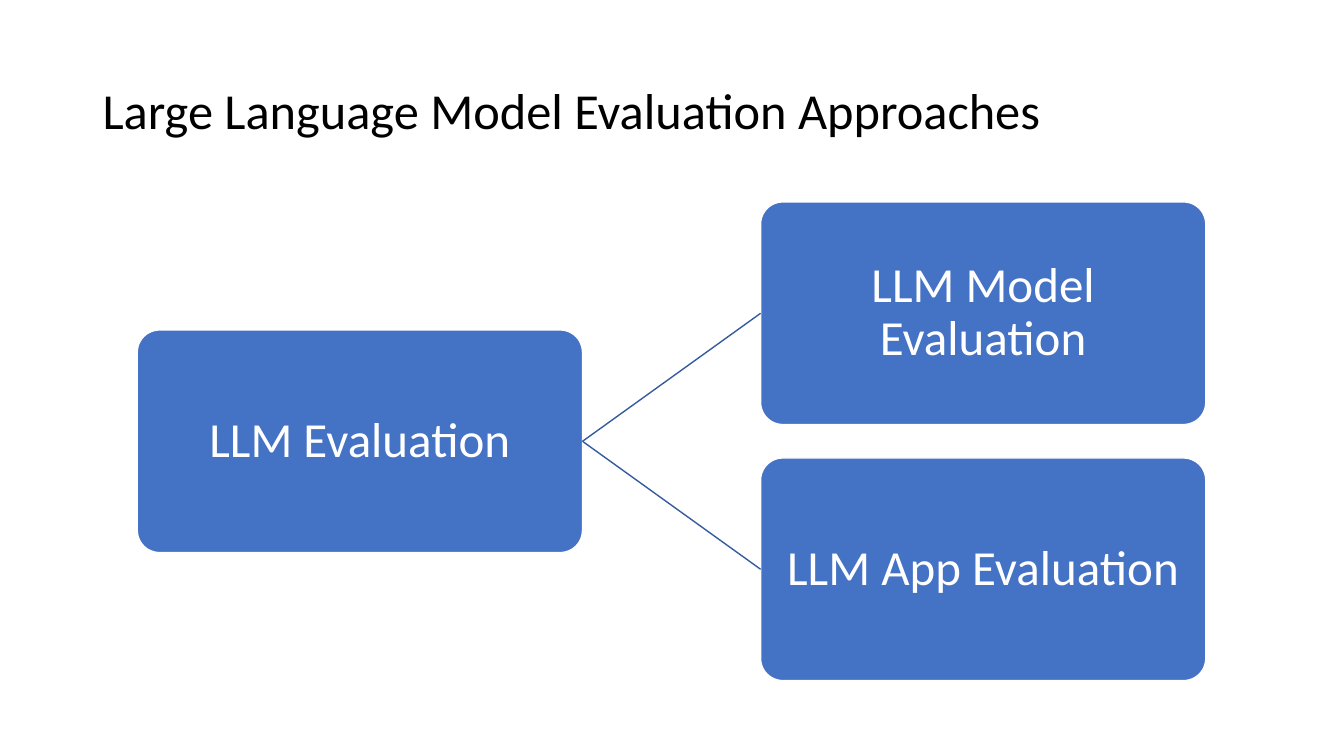
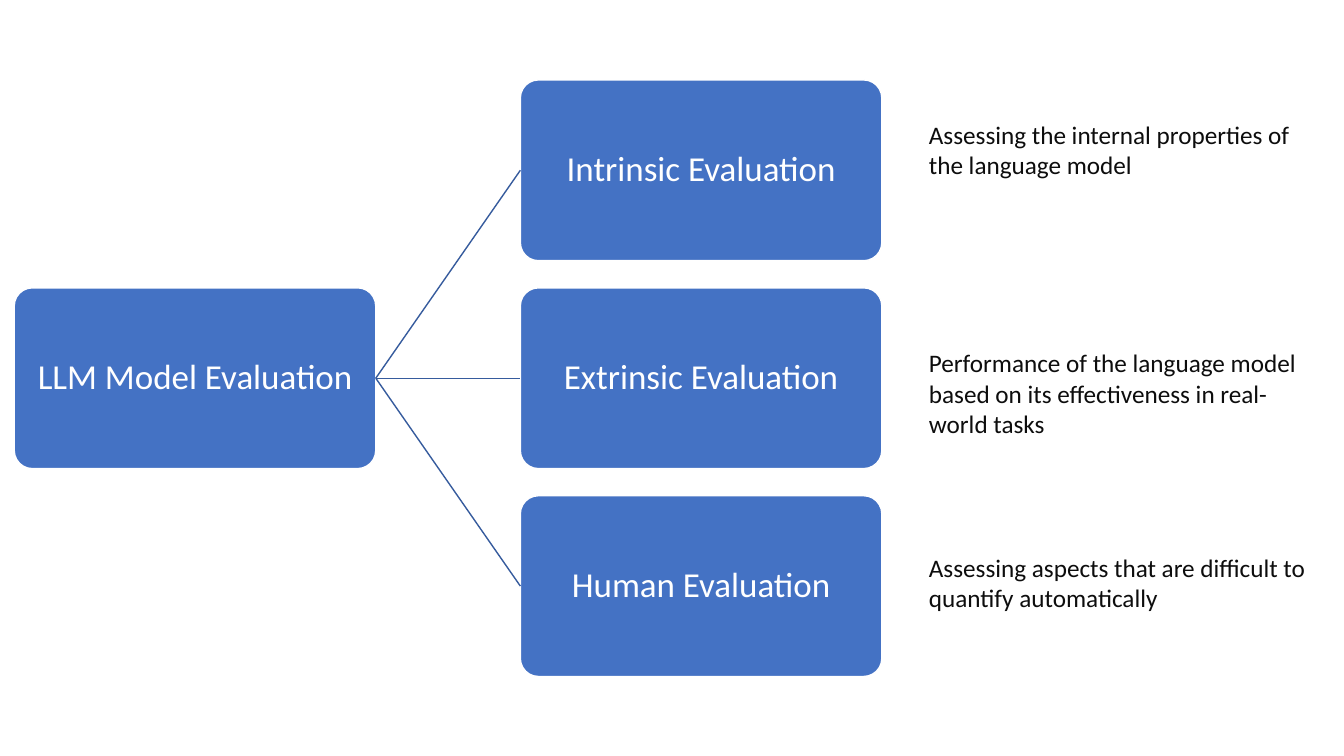
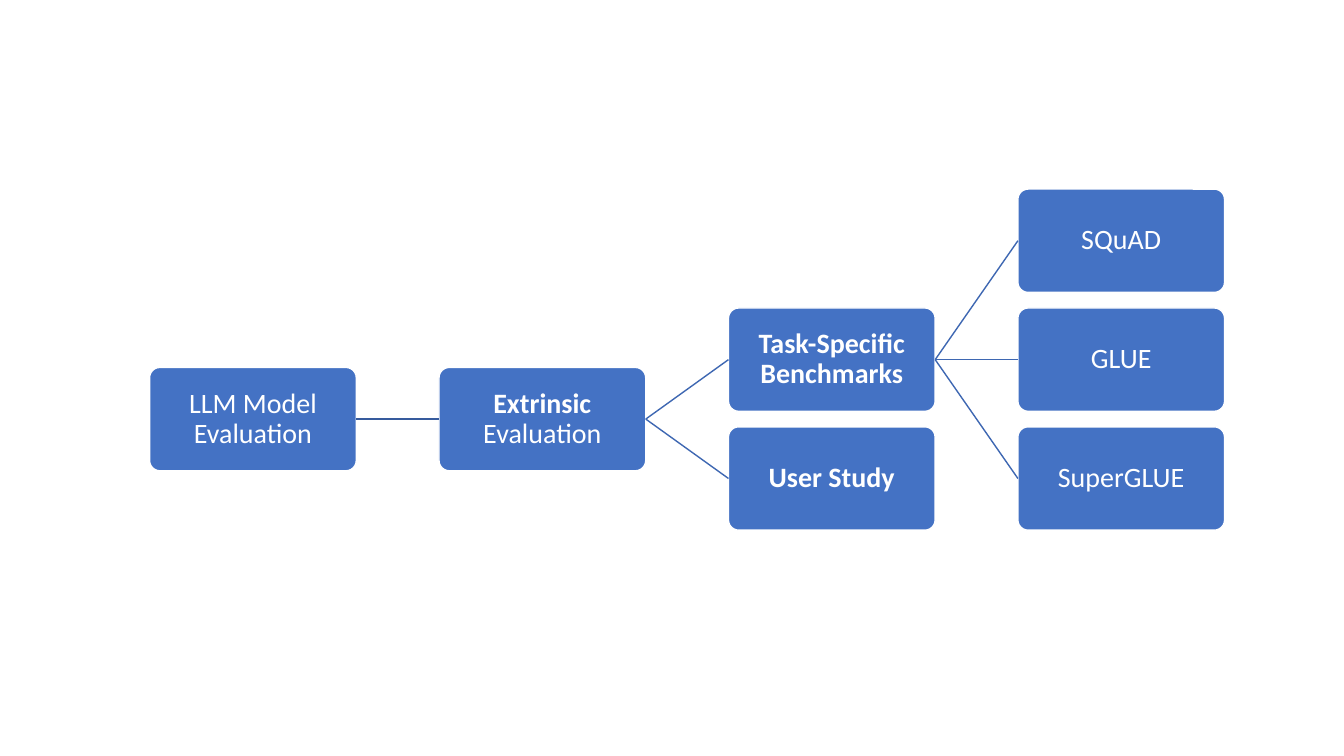
"""Build three slides of tree diagrams on evaluating large language models."""
from dataclasses import dataclass

from lxml.etree import SubElement
from pptx import Presentation
from pptx.dml.color import RGBColor
from pptx.enum.shapes import MSO_CONNECTOR, MSO_SHAPE
from pptx.enum.text import MSO_ANCHOR, MSO_AUTO_SIZE, PP_ALIGN
from pptx.oxml.ns import qn
from pptx.util import Cm, Pt


@dataclass(frozen=True)
class Theme:
    font: str = "Calibri"
    title_ink: RGBColor = RGBColor.from_string("000000")
    caption_ink: RGBColor = RGBColor.from_string("0D0D0D")
    node_ink: RGBColor = RGBColor.from_string("FFFFFF")
    node_fill: RGBColor = RGBColor.from_string("4472C4")
    branch: RGBColor = RGBColor.from_string("365B9D")
    deep_branch: RGBColor = RGBColor.from_string("3E67B2")
    title_size: int = 36
    caption_size: int = 18
    overview_size: int = 35
    methods_size: int = 25
    benchmarks_size: int = 20
    line_width: int = 1
    line_spacing: float = 0.9


THEME = Theme()


def add_run(paragraph, text, size, ink, bold=False):
    run = paragraph.add_run()
    run.text = text
    run.font.name = THEME.font
    run.font.size = Pt(size)
    run.font.color.rgb = ink
    run.font.bold = bold


def draw_tree(slide, left, middle, width, size, nodes):
    height, column_step, row_step = width * 0.5, width * 1.4, width * 0.575
    drawn = []
    for column, row, parent, runs in nodes:
        node = slide.shapes.add_shape(
            MSO_SHAPE.ROUNDED_RECTANGLE,
            Cm(left + column * column_step),
            Cm(middle + row * row_step - height / 2),
            Cm(width), Cm(height))
        node.adjustments[0] = 0.1
        node.shadow.inherit = False
        node.fill.solid()
        node.fill.fore_color.rgb = THEME.node_fill
        node.line.color.rgb = THEME.node_ink
        node.line.width = Pt(THEME.line_width)
        frame = node.text_frame
        frame.word_wrap = True
        frame.vertical_anchor = MSO_ANCHOR.MIDDLE
        frame.margin_left = frame.margin_right = Cm(0.05)
        frame.margin_top = frame.margin_bottom = Cm(0.05)
        label = frame.paragraphs[0]
        label.alignment = PP_ALIGN.CENTER
        label.line_spacing = THEME.line_spacing
        for text, bold in runs:
            add_run(label, text, size, THEME.node_ink, bold)
        drawn.append(node)
        if parent is not None:
            branch = slide.shapes.add_connector(MSO_CONNECTOR.STRAIGHT, 0, 0, 0, 0)
            branch.begin_connect(drawn[parent], 3)
            branch.end_connect(node, 1)
            branch.line.color.rgb = THEME.branch if column == 1 else THEME.deep_branch
            branch.line.width = Pt(THEME.line_width)
            SubElement(branch.element.spPr, qn("a:effectLst"))


deck = Presentation()
deck.slide_width, deck.slide_height = Cm(33.87), Cm(19.05)
title_layout, blank_layout = deck.slide_layouts[5], deck.slide_layouts[6]

overview = deck.slides.add_slide(title_layout)
title = overview.shapes.title
title.left, title.top, title.width, title.height = Cm(2.33), Cm(1.01), Cm(29.21), Cm(3.68)
title.text_frame.vertical_anchor = MSO_ANCHOR.MIDDLE
heading = title.text_frame.paragraphs[0]
heading.alignment = PP_ALIGN.LEFT
heading.line_spacing = THEME.line_spacing
add_run(heading, "Large Language Model Evaluation Approaches", THEME.title_size, THEME.title_ink)
draw_tree(overview, 3.46, 11.12, 11.22, THEME.overview_size, [
    (0, 0, None, [("LLM Evaluation", False)]),
    (1, -0.5, 0, [("LLM Model Evaluation", False)]),
    (1, 0.5, 0, [("LLM App Evaluation", False)]),
])

methods = deck.slides.add_slide(blank_layout)
draw_tree(methods, 0.36, 9.53, 9.11, THEME.methods_size, [
    (0, 0, None, [("LLM Model Evaluation", False)]),
    (1, -1, 0, [("Intrinsic Evaluation", False)]),
    (1, 0, 0, [("Extrinsic Evaluation", False)]),
    (1, 1, 0, [("Human Evaluation", False)]),
])
captions = [
    (2.87, 1.8, "Assessing the internal properties of the language model"),
    (8.64, 2.57, "Performance of the language model based on its effectiveness in real-world tasks"),
    (13.79, 1.8, "Assessing aspects that are difficult to quantify automatically"),
]
for top, height, text in captions:
    caption = methods.shapes.add_textbox(Cm(23.16), Cm(top), Cm(10.13), Cm(height)).text_frame
    caption.word_wrap = True
    caption.auto_size = MSO_AUTO_SIZE.SHAPE_TO_FIT_TEXT
    add_run(caption.paragraphs[0], text, THEME.caption_size, THEME.caption_ink)

benchmarks = deck.slides.add_slide(blank_layout)
draw_tree(benchmarks, 3.77, 10.56, 5.21, THEME.benchmarks_size, [
    (0, 0, None, [("LLM Model Evaluation", False)]),
    (1, 0, 0, [("Extrinsic", True), (" Evaluation", False)]),
    (2, -0.5, 1, [("Task-Specific Benchmarks", True)]),
    (3, -1.5, 2, [("SQuAD", False)]),
    (3, -0.5, 2, [("GLUE", False)]),
    (3, 0.5, 2, [("SuperGLUE", False)]),
    (2, 0.5, 1, [("User Study", True)]),
])

deck.save("out.pptx")
